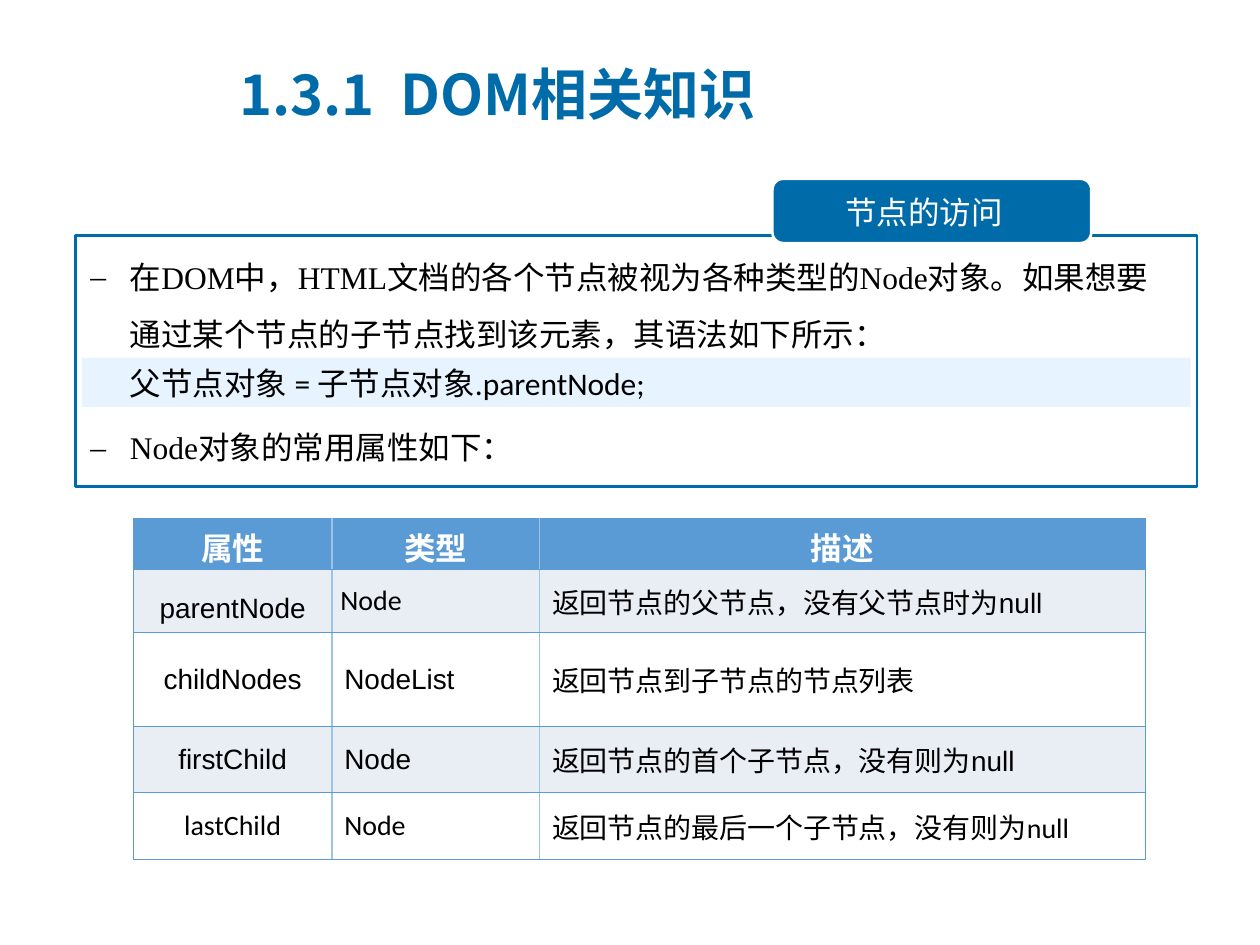
"""Build the slide on visiting DOM nodes."""
from lxml import etree
from pptx import Presentation
from pptx.dml.color import RGBColor
from pptx.enum import shapes, text
from pptx.oxml import ns
from pptx.util import Pt

BLUE, PALE, EDGE, WHITE, BLACK = "006BA9", "E7F4FF", "5B9BD5", "FFFFFF", "000000"
CJK = "Noto Sans CJK SC"


def paint(target, tone):
    if hasattr(target, "solid"):
        target.solid()
        target.fore_color.rgb = RGBColor.from_string(tone)
    else:
        target.rgb = RGBColor.from_string(tone)


def style(para, face, size, tone, bold=False):
    for run in para.runs:
        run.font.size = Pt(size)
        run.font.bold = bold
        run.font.name = face
        paint(run.font.color, tone)
        east = etree.SubElement(run._r.get_or_add_rPr(), ns.qn("a:ea"))
        east.set("typeface", CJK)


deck = Presentation()
deck.slide_width, deck.slide_height = Pt(720), Pt(540)
slide = deck.slides.add_slide(deck.slide_layouts[6])
kind = shapes.MSO_SHAPE

frame = slide.shapes.add_shape(kind.RECTANGLE, Pt(43.2), Pt(134.6), Pt(640.8), Pt(143.3))
paint(frame.fill, WHITE)
paint(frame.line.fill, BLUE)
frame.line.width = Pt(1.5)

body = slide.shapes.add_textbox(Pt(44.6), Pt(133.2), Pt(632.9), Pt(138.2)).text_frame
body.word_wrap = True
body.text = (
    "在DOM中，HTML文档的各个节点被视为各种类型的Node对象。"
    "如果想要通过某个节点的子节点找到该元素，其语法如下所示：\n"
    "Node对象的常用属性如下："
)
for para in body.paragraphs:
    props = para._p.get_or_add_pPr()
    props.set("marL", str(Pt(22.5)))
    props.set("indent", str(-Pt(22.5)))
    para.line_spacing = 1.5
    etree.SubElement(props, ns.qn("a:buFont")).set("typeface", "Times New Roman")
    etree.SubElement(props, ns.qn("a:buChar")).set("char", "–")
    style(para, "Times New Roman", 18, BLACK)
body.paragraphs[1].space_before = Pt(32.5)

tab = slide.shapes.add_shape(kind.ROUNDED_RECTANGLE, Pt(441.4), Pt(102.2), Pt(182.2), Pt(36.7))
paint(tab.fill, BLUE)
paint(tab.line.fill, WHITE)
tab.line.width = Pt(1.5)

label = slide.shapes.add_textbox(Pt(475.9), Pt(106.6), Pt(105.1), Pt(28.8)).text_frame
label.word_wrap = False
label.text = "节点的访问"
style(label.paragraphs[0], CJK, 18, WHITE)

code = slide.shapes.add_shape(kind.RECTANGLE, Pt(46.8), Pt(204.5), Pt(633.6), Pt(28.1))
paint(code.fill, PALE)
code.line.fill.background()
code.text_frame.margin_left = Pt(27.5)
code.text_frame.text = "父节点对象 = 子节点对象.parentNode;"
line = code.text_frame.paragraphs[0]
line.alignment = text.PP_ALIGN.LEFT
style(line, "Calibri", 18, BLACK)

for shape in (frame, tab, code):
    shape.shadow.inherit = False

rows = [
    ("属性", "类型", "描述"),
    ("parentNode", "Node", "返回节点的父节点，没有父节点时为null"),
    ("childNodes", "NodeList", "返回节点到子节点的节点列表"),
    ("firstChild", "Node", "返回节点的首个子节点，没有则为null"),
    ("lastChild", "Node", "返回节点的最后一个子节点，没有则为null"),
]
narrow = {(0, 0), (1, 1), (4, 0), (4, 1), (4, 2)}
grid = slide.shapes.add_table(5, 3, Pt(76.3), Pt(296), Pt(578.2), Pt(195)).table
for col, wide in zip(grid.columns, (113.3, 118.7, 346.2)):
    col.width = Pt(wide)
for row, high in zip(grid.rows, (29.5, 36, 53.5, 38, 38)):
    row.height = Pt(high)

for r, words in enumerate(rows):
    for c, word in enumerate(words):
        cell = grid.cell(r, c)
        cell.text = word
        cell.vertical_anchor = text.MSO_ANCHOR.MIDDLE
        if (r, c) == (1, 1):
            cell.margin_left = cell.margin_right = Pt(5)
            cell.margin_top = cell.margin_bottom = Pt(0)
        para = cell.text_frame.paragraphs[0]
        if r == 0 or c == 0:
            para.alignment = text.PP_ALIGN.CENTER
        if (r, c) == (1, 0):
            para.line_spacing = 1.5
        face = "Calibri" if (r, c) in narrow else "Arial"
        style(para, face, 16 if r else 18, BLACK if r else WHITE, r == 0)
        inner = {"L": c > 0, "R": c < 2, "T": False, "B": False}
        for side, light in inner.items():
            edge = etree.SubElement(cell._tc.get_or_add_tcPr(), ns.qn("a:ln" + side))
            edge.set("w", str(Pt(1 if light else 0.5)))
            fill = etree.SubElement(edge, ns.qn("a:solidFill"))
            tone = etree.SubElement(fill, ns.qn("a:srgbClr"))
            tone.set("val", "9DC3E6" if light else EDGE)
        paint(cell.fill, EDGE if r == 0 else "E9EDF4" if r % 2 else WHITE)

title = slide.shapes.add_textbox(Pt(129.6), Pt(31), Pt(525.6), Pt(43.9)).text_frame
title.word_wrap = True
title.vertical_anchor = text.MSO_ANCHOR.MIDDLE
title.text = "1.3.1  DOM相关知识"
style(title.paragraphs[0], CJK, 32, BLUE, True)

deck.save("out.pptx")
